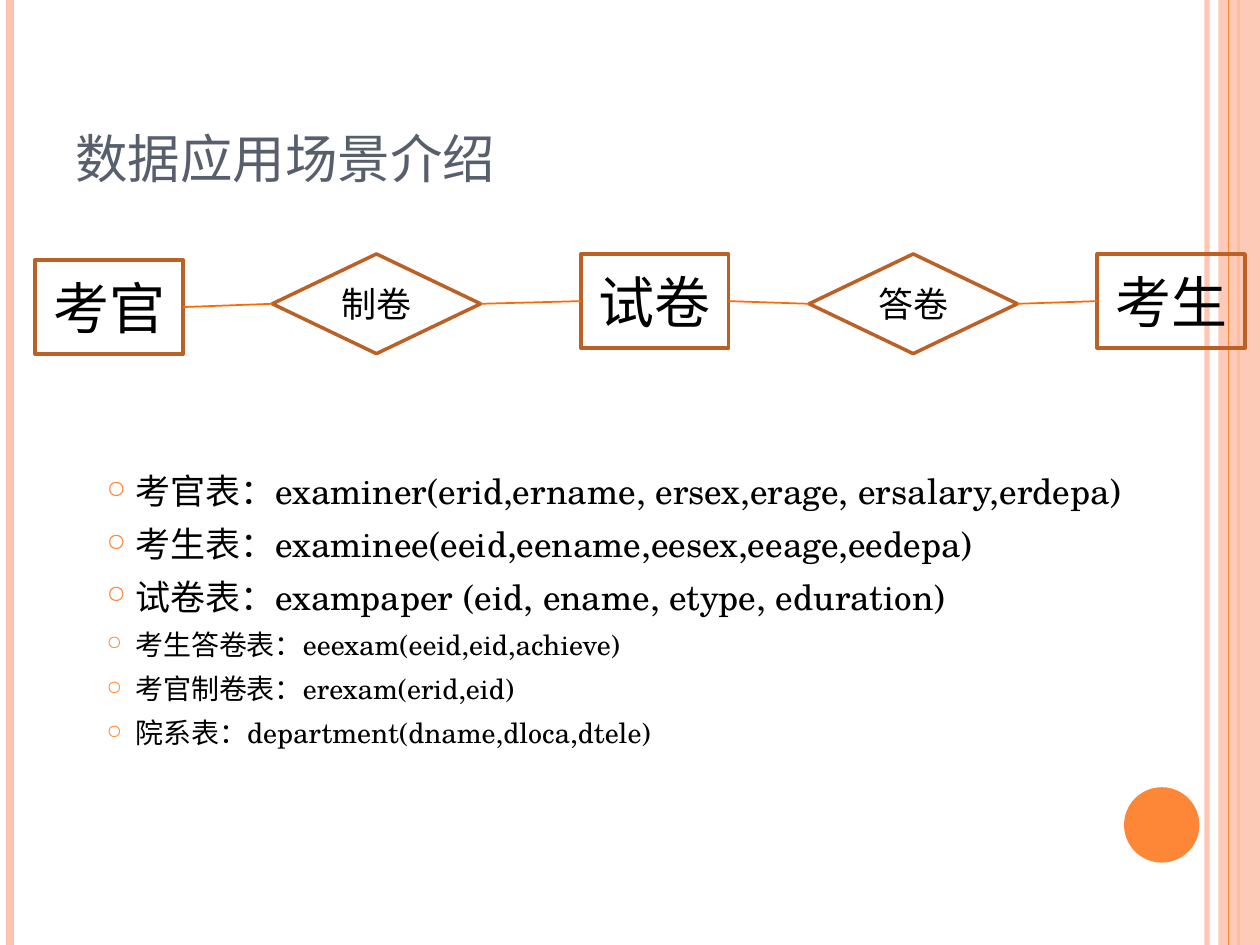
import pptx
import pptx.util
import pptx.dml.color
import pptx.enum.shapes
import pptx.enum.text
import pptx.oxml
import pptx.oxml.ns
from lxml import etree

Cm = pptx.util.Cm
Pt = pptx.util.Pt
RGBColor = pptx.dml.color.RGBColor
SHAPE = pptx.enum.shapes.MSO_SHAPE
ANCHOR = pptx.enum.text.MSO_ANCHOR
ALIGN = pptx.enum.text.PP_ALIGN
qn = pptx.oxml.ns.qn

PEACH = RGBColor(0xFE, 0xC3, 0xAE)
ORANGE = RGBColor(0xFE, 0x86, 0x37)
LINK = RGBColor(0xFF, 0x69, 0x03)
BROWN = RGBColor(0xBB, 0x61, 0x26)
SLATE = RGBColor(0x57, 0x5F, 0x6D)
BLACK = RGBColor(0, 0, 0)
FONT = "TeX Gyre Schola"

TABLES = [
    ("考官表：examiner(erid,ername, ersex,erage, ersalary,erdepa)", 20),
    ("考生表：examinee(eeid,eename,eesex,eeage,eedepa)", 20),
    ("试卷表：exampaper (eid, ename, etype, eduration)", 20),
    ("考生答卷表：eeexam(eeid,eid,achieve)", 16),
    ("考官制卷表：erexam(erid,eid)", 16),
    ("院系表：department(dname,dloca,dtele)", 16),
]
ENTITY = (SHAPE.RECTANGLE, 2.98, 1.9, 32)
RELATION = (SHAPE.FLOWCHART_DECISION, 4.2, 2.01, 20)
CHAIN = [
    ("考官", ENTITY, 0, 0.12),
    ("制卷", RELATION, 4.78, 0),
    ("试卷", ENTITY, 11, 0),
    ("答卷", RELATION, 15.6, 0),
    ("考生", ENTITY, 21.41, 0),
]


def set_opacity(parent, percent):
    """Give the solid colour inside parent an opacity."""
    color = parent.find(".//" + qn("a:srgbClr"))
    etree.SubElement(color, qn("a:alpha"), val=str(percent * 1000))


def format_para(para, size, color):
    """Apply font, size and colour to every run of a paragraph."""
    for span in para.runs:
        span.font.name = FONT
        span.font.size = Pt(size)
        span.font.color.rgb = color


def add_line(page, start, end, color, width):
    """Draw a straight connector without shadow."""
    line = page.shapes.add_connector(
        pptx.enum.shapes.MSO_CONNECTOR.STRAIGHT, *map(Cm, start + end))
    line.line.color.rgb = color
    line.line.width = Pt(width)
    etree.SubElement(line._element.spPr, qn("a:effectLst"))
    return line


def add_plain_shape(page, kind, left, top, width, height, color):
    """Draw a filled shape without outline."""
    shape = page.shapes.add_shape(kind, Cm(left), Cm(top), Cm(width), Cm(height))
    shape.shadow.inherit = False
    shape.fill.solid()
    shape.fill.fore_color.rgb = color
    shape.line.fill.background()
    return shape


def add_frame(page, left, top, width, height):
    """Draw the side stripes and the disc within the page box."""
    right, bottom = left + width, top + height

    def stripe(x, color, weight):
        """Draw one full-height line."""
        return add_line(page, (x, top), (x, bottom), color, weight)

    pale = stripe(right - 1.07, PEACH, 3)
    set_opacity(pale._element.spPr, 93)
    stripe(left + 0.21, PEACH, 4.5)
    stripe(right - 0.43, ORANGE, 1.5)
    band = add_plain_shape(page, SHAPE.RECTANGLE, right - 0.84, top, 0.84, height, PEACH)
    set_opacity(band._element.spPr, 87)
    stripe(right - 0.64, ORANGE, 0.75)
    add_plain_shape(page, SHAPE.OVAL, right - 2.74, bottom - 3.18, 1.52, 1.52, ORANGE)


def add_title(page, left, top, width, height):
    """Write the title at the bottom of its box."""
    box = page.shapes.add_textbox(Cm(left), Cm(top), Cm(width), Cm(height))
    frame = box.text_frame
    frame.word_wrap = True
    frame.vertical_anchor = ANCHOR.BOTTOM
    frame.text = "数据应用场景介绍"
    format_para(frame.paragraphs[0], 30, SLATE)


def add_bullet(para):
    """Give a paragraph a small orange ring and a hanging indent."""
    props = para._p.get_or_add_pPr()
    indent = Cm(0.58)
    props.set("marL", str(indent))
    props.set("indent", str(-indent))
    color = etree.SubElement(props, qn("a:buClr"))
    etree.SubElement(color, qn("a:srgbClr"), val=str(ORANGE))
    etree.SubElement(props, qn("a:buSzPct"), val="70000")
    etree.SubElement(props, qn("a:buChar"), char="○")


def add_table_list(page, left, top, width, height):
    """List the table schemas as bullets."""
    box = page.shapes.add_textbox(Cm(left), Cm(top), Cm(width), Cm(height))
    frame = box.text_frame
    frame.word_wrap = True
    frame.text = "\n".join(text for text, size in TABLES)
    for para, (text, size) in zip(frame.paragraphs, TABLES):
        para.space_before = Pt(6)
        add_bullet(para)
        format_para(para, size, BLACK)


def add_node(page, text, style, left, top):
    """Draw one outlined entity or relation."""
    kind, width, height, size = style
    node = page.shapes.add_shape(kind, Cm(left), Cm(top), Cm(width), Cm(height))
    node.shadow.inherit = False
    node.fill.background()
    node.line.color.rgb = BROWN
    node.line.width = Pt(2)
    frame = node.text_frame
    frame.text = text
    frame.vertical_anchor = ANCHOR.MIDDLE
    if kind == SHAPE.FLOWCHART_DECISION:
        frame.word_wrap = False
    para = frame.paragraphs[0]
    para.alignment = ALIGN.CENTER
    format_para(para, size, BLACK)
    return node


def add_chain(page, left, top):
    """Draw the entity-relation chain and join its neighbours."""
    nodes = [add_node(page, text, style, left + x, top + y)
             for text, style, x, y in CHAIN]
    for first, second in zip(nodes, nodes[1:]):
        link = add_line(page, (left, top), (left, top), LINK, 1)
        link.begin_connect(first, 3)
        link.end_connect(second, 1)


def main():
    """Build and save the deck."""
    deck = pptx.Presentation()
    deck.slide_width, deck.slide_height = Cm(25.4), Cm(19.05)
    page = deck.slides.add_slide(deck.slide_layouts[6])
    add_frame(page, 0, 0, 25.4, 19.05)
    add_title(page, 1.27, 0.76, 20.75, 3.18)
    add_table_list(page, 1.9, 9.35, 21.41, 5.89)
    add_chain(page, 0.71, 5.12)
    deck.save("out.pptx")


if __name__ == "__main__":
    main()
